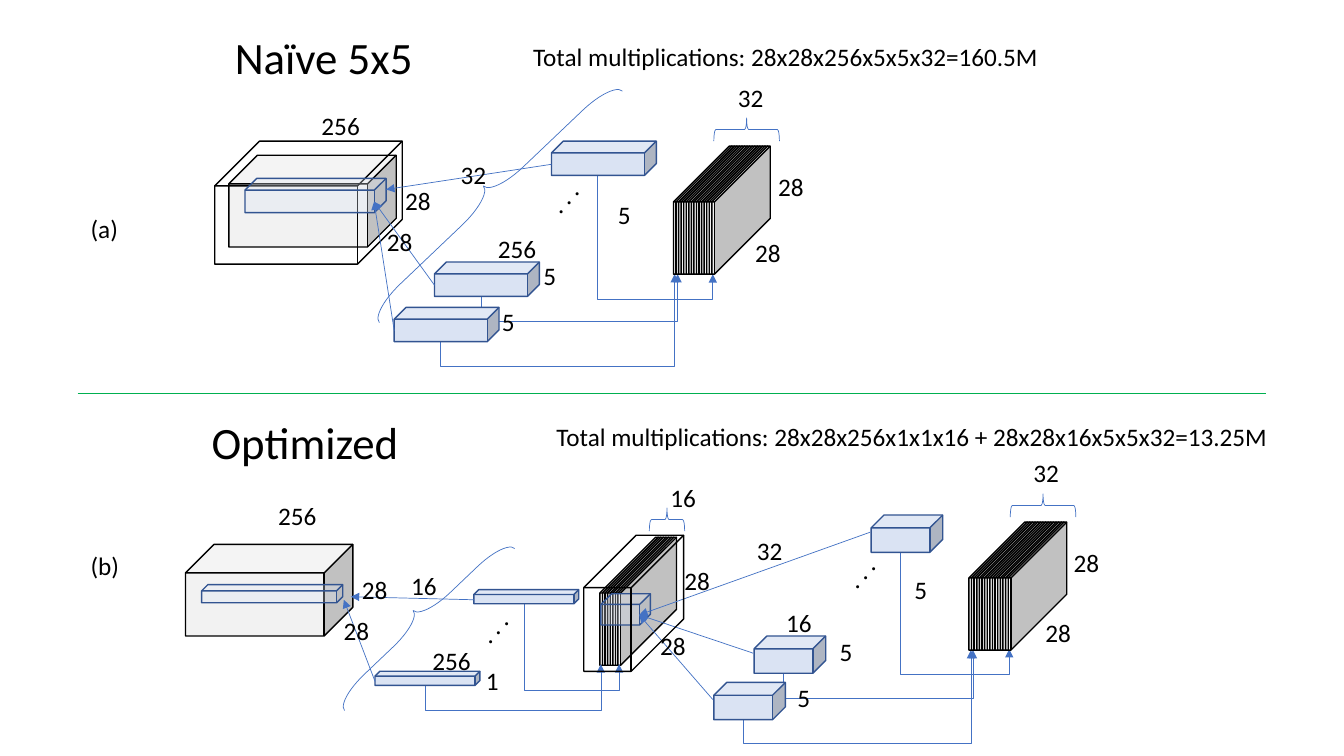
from dataclasses import dataclass

from lxml import etree
from pptx import Presentation
from pptx.dml.color import RGBColor
from pptx.enum.shapes import MSO_CONNECTOR, MSO_SHAPE
from pptx.enum.text import MSO_AUTO_SIZE
from pptx.oxml.ns import qn
from pptx.util import Inches, Pt

CUBE = MSO_SHAPE.CUBE
BRACE = MSO_SHAPE.LEFT_BRACE
STRAIGHT = MSO_CONNECTOR.STRAIGHT
ELBOW = MSO_CONNECTOR.ELBOW
FIT_TEXT = MSO_AUTO_SIZE.SHAPE_TO_FIT_TEXT


@dataclass(frozen=True)
class Theme:
    font: str = "Calibri"
    title: int = 32
    body: int = 18
    ink: str = "000000"
    volume: str = "F2F2F2"
    kernel: str = "DAE3F3"
    kernel_edge: str = "325491"
    arrow: str = "4472C4"
    divider: str = "00B050"
    thin: float = 0.5
    edge: float = 1


THEME = Theme()
LABEL_WIDTHS = {1: 0.33, 2: 0.46, 3: 0.59}  # by number of digits
KERNEL_DEPTH = 0.344
VOLUME_DEPTH = 0.312


def rgb(code):
    return RGBColor.from_string(code)


def set_line(line, color, width):
    line.color.rgb = rgb(color)
    line.width = Pt(width)


def add_text(slide, text, left, top, width, height=0.4, size=THEME.body, turn=0):
    box = slide.shapes.add_textbox(Inches(left), Inches(top), Inches(width), Inches(height))
    box.rotation = turn
    frame = box.text_frame
    frame.word_wrap = False
    frame.auto_size = FIT_TEXT
    run = frame.paragraphs[0].add_run()
    run.text = text
    for name, value in {"name": THEME.font, "size": Pt(size)}.items():
        setattr(run.font, name, value)
    run.font.color.rgb = rgb(THEME.ink)


def add_labels(slide, labels):
    for text, left, top in labels:
        add_text(slide, text, left, top, LABEL_WIDTHS[len(text)])


def add_dots(slide, left, top):
    add_text(slide, ". . .", left, top, 0.51, turn=311.6)


def add_outline(shapes, preset, box, color, width, adjustments=(), fill=None, alpha=None, turn=0):
    shape = shapes.add_shape(preset, *map(Inches, box))
    shape.shadow.inherit = False
    shape.rotation = turn
    for index, value in enumerate(adjustments):
        shape.adjustments[index] = value
    set_line(shape.line, color, width)
    if fill is None:
        shape.fill.background()
        return
    shape.fill.solid()
    shape.fill.fore_color.rgb = rgb(fill)
    if alpha is not None:
        color_node = shape._element.spPr.find(qn("a:solidFill"))[0]
        etree.SubElement(color_node, qn("a:alpha"), val=str(alpha * 1000))


def add_volume(shapes, box, depth=VOLUME_DEPTH, fill=THEME.volume):
    add_outline(shapes, CUBE, box, THEME.ink, THEME.edge, [depth], fill)


def add_kernel(slide, box, alpha=None):
    add_outline(slide.shapes, CUBE, box, THEME.kernel_edge, THEME.edge,
                [KERNEL_DEPTH], THEME.kernel, alpha)


def add_kernels(slide, width, height, corners):
    for left, top in corners:
        add_kernel(slide, (left, top, width, height))


def add_slices(slide, left, top, count, span):
    """Stack of feature maps, evenly spread over span."""
    stack = slide.shapes.add_group_shape().shapes
    for index in range(count):
        add_volume(stack, (left + index * span / (count - 1), top, 0.58, 1.27), 0.955)


def add_brace(slide, box, turn=90, adjustments=()):
    add_outline(slide.shapes, BRACE, box, THEME.arrow, THEME.thin, adjustments, turn=turn)


def add_line(slide, kind, start, end, color=THEME.arrow, head=True):
    line = slide.shapes.add_connector(kind, *map(Inches, (*start, *end)))
    set_line(line.line, color, THEME.thin)
    properties = line._element.spPr
    if head:
        etree.SubElement(properties.find(qn("a:ln")), qn("a:tailEnd"), type="triangle")
    etree.SubElement(properties, qn("a:effectLst"))
    return properties


def add_arrows(slide, target, starts):
    for start in starts:
        add_line(slide, STRAIGHT, start, target)


def add_feed(slide, start, end, low):
    """Elbow arrow: down to low, across, then up to end."""
    (x1, y1), (x2, y2) = start, end
    middle_x, middle_y = (x1 + x2) / 2, (y1 + y2) / 2
    half_w, half_h = abs(y2 - y1) / 2, (x2 - x1) / 2
    properties = add_line(slide, ELBOW, (middle_x - half_w, middle_y - half_h),
                          (middle_x + half_w, middle_y + half_h))
    rising = y2 < y1
    turn = {"rot": str((90 if rising else 270) * 60000), "flipH": "1",
            "flipV": "1" if rising else "0"}
    for name, value in turn.items():
        properties.find(qn("a:xfrm")).set(name, value)
    bend = round((low - y1) / (y2 - y1) * 100000)
    guides = properties.find(qn("a:prstGeom")).find(qn("a:avLst"))
    etree.SubElement(guides, qn("a:gd"), name="adj1", fmla=f"val {bend}")


def add_feeds(slide, feeds):
    for feed in feeds:
        add_feed(slide, *feed)


def draw_naive(slide):
    add_feeds(slide, [((4.77, 2.94), (6.72, 2.72), 3.19),
                      ((4.37, 3.39), (6.69, 2.72), 3.64),
                      ((5.93, 1.74), (7.07, 2.72), 2.97)])
    add_dots(slide, 5.33, 1.76)
    add_slices(slide, 6.68, 1.45, 16, 0.38)

    # Padded input and its 5x5 patch
    padded = slide.shapes.add_group_shape().shapes
    add_volume(padded, (2.27, 1.54, 1.66, 0.91))
    add_volume(padded, (2.13, 1.4, 1.86, 1.22), 0.364, None)
    add_kernels(slide, 1.04, 0.34, [(3.91, 3.05), (4.31, 2.6), (5.47, 1.4)])
    add_kernel(slide, (2.43, 1.77, 1.4, 0.34), 30)
    add_arrows(slide, (3.71, 2), [(3.91, 3.28), (4.31, 2.83)])
    add_arrows(slide, (3.83, 1.88), [(5.47, 1.63)])

    # Braces and labels
    add_brace(slide, (4.74, 0.29, 0.27, 3.33), 46.4, (1.546, 0.495))
    add_brace(slide, (7.29, 0.96, 0.23, 0.65))
    add_labels(slide, [("256", 3.09, 1.05), ("28", 3.92, 1.79), ("28", 3.74, 2.2),
                       ("32", 4.47, 1.53), ("256", 4.84, 2.27), ("5", 5.29, 2.53),
                       ("5", 4.88, 2.99), ("5", 6.03, 1.93), ("32", 7.22, 0.77),
                       ("28", 7.62, 1.65), ("28", 7.39, 2.31)])
    add_text(slide, "Naïve 5x5", 2.23, 0.25, 1.98, 0.64, THEME.title)
    add_text(slide, "Total multiplications: 28x28x256x5x5x32=160.5M", 5.19, 0.36, 5.26)
    add_text(slide, "(a)", 0.8, 2.07, 0.48)


def draw_optimized(slide):
    # 1x1 stage
    add_dots(slide, 4.63, 6.02)
    add_slices(slide, 5.95, 5.33, 8, 0.18)
    add_feeds(slide, [((4.22, 6.8), (5.96, 6.59), 7.05),
                      ((5.2, 5.99), (6.14, 6.59), 6.85)])
    add_volume(slide.shapes, (1.84, 5.4, 1.66, 0.91))
    add_kernels(slide, 1.04, 0.14, [(3.72, 6.66), (4.7, 5.85)])
    add_kernel(slide, (2, 5.8, 1.4, 0.18), 30)
    add_arrows(slide, (3.41, 5.95), [(3.72, 6.76)])
    add_arrows(slide, (3.48, 5.92), [(4.7, 5.95)])
    add_brace(slide, (4.05, 4.99, 0.25, 2.33), 46.4, (1.546, 0.495))
    add_brace(slide, (6.5, 4.98, 0.23, 0.35))

    # 5x5 stage
    add_feeds(slide, [((7.77, 6.68), (9.65, 6.45), 6.93),
                      ((7.37, 7.13), (9.63, 6.45), 7.38),
                      ((8.93, 5.48), (10.01, 6.44), 6.69)])
    add_dots(slide, 8.27, 5.48)
    add_slices(slide, 9.61, 5.18, 16, 0.39)
    add_kernels(slide, 0.71, 0.37, [(7.08, 6.77), (7.48, 6.31), (8.64, 5.11)])
    add_kernel(slide, (5.96, 5.89, 0.49, 0.31), 30)
    add_arrows(slide, (6.34, 6.1), [(7.07, 6.94), (7.47, 6.48), (8.63, 5.28)])
    add_brace(slide, (10.23, 4.69, 0.23, 0.65))
    add_volume(slide.shapes, (5.79, 5.31, 0.99, 1.35), 0.525, None)

    # Labels
    add_labels(slide, [("256", 2.66, 4.91), ("28", 3.49, 5.65), ("28", 3.31, 6.06),
                       ("16", 3.98, 5.61), ("256", 4.19, 6.35), ("1", 4.72, 6.55),
                       ("16", 6.55, 4.74), ("28", 6.69, 5.56), ("28", 6.45, 6.2),
                       ("32", 7.41, 5.26), ("16", 7.7, 5.98), ("5", 8.23, 6.26),
                       ("5", 7.81, 6.72), ("5", 8.97, 5.65), ("32", 10.15, 4.49),
                       ("28", 10.55, 5.38), ("28", 10.27, 6.08)])
    add_text(slide, "Optimized", 2, 4.07, 2.08, 0.64, THEME.title)
    add_text(slide, "Total multiplications: 28x28x256x1x1x16 + 28x28x16x5x5x32=13.25M",
             5.42, 4.13, 7.33)
    add_text(slide, "(b)", 0.8, 5.41, 0.49)


def main():
    deck = Presentation()
    deck.slide_width, deck.slide_height = Inches(13.33), Inches(7.5)
    slide = deck.slides.add_slide(deck.slide_layouts[6])
    draw_naive(slide)
    add_line(slide, STRAIGHT, (0.77, 3.9), (12.56, 3.9), THEME.divider, head=False)
    draw_optimized(slide)
    deck.save("out.pptx")


if __name__ == "__main__":
    main()
